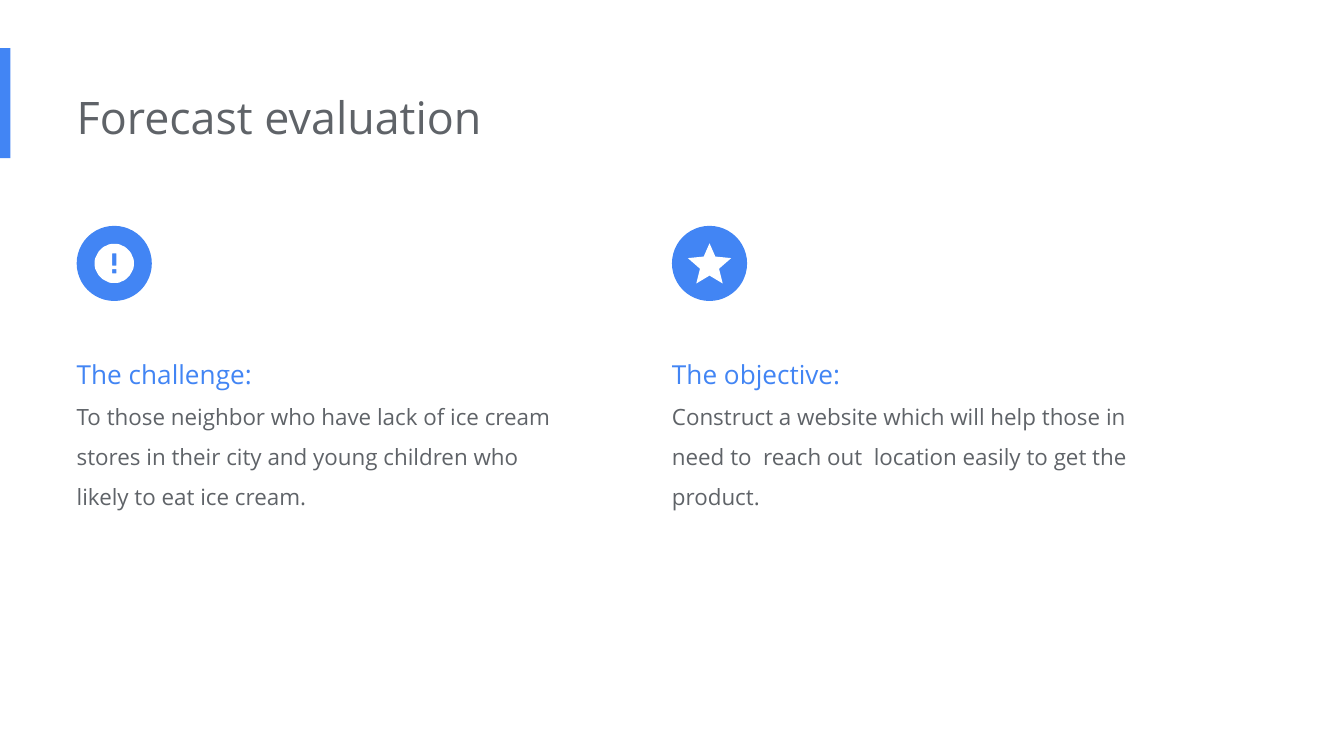
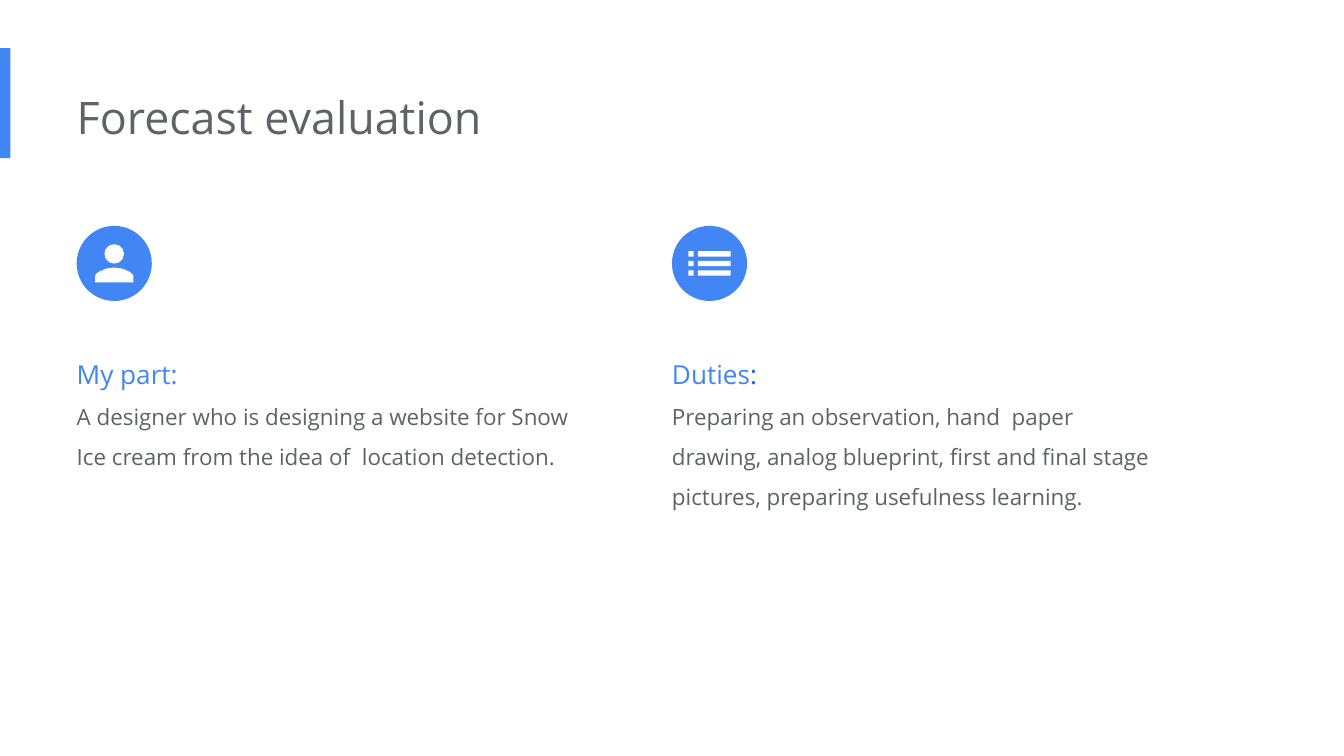
from math import cos, pi, sin

from pptx import Presentation
from pptx.dml.color import RGBColor
from pptx.enum.shapes import MSO_SHAPE as Shape
from pptx.enum.text import MSO_ANCHOR as Anchor, MSO_AUTO_SIZE as AutoSize, PP_ALIGN as Align
from pptx.util import Cm, Pt

COLORS = {"blue": "4285F4", "deep_blue": "1967D2", "gray": "5F6368", "white": "FFFFFF"}
FONT = "Open Sans"
TITLE = "Forecast evaluation"

# Shared grid, in cm
COLUMNS = (1.45, 12.7)
DISC_TOP, DISC_SIZE = 4.27, 1.42
TEXT_TOP, TEXT_WIDTH = 6.22, 9.58


# Icon outlines, in hundredths of a cm around the centre of the disc
def box(left, top, right, bottom):
    return [(left, top), (right, top), (right, bottom), (left, bottom)]


def circle(radius, center_y=0, steps=48):
    angles = [2 * pi * step / steps for step in range(steps)]
    return [(radius * cos(a), center_y + radius * sin(a)) for a in angles]


def curve(p0, p1, p2, p3, steps=12):
    def blend(t, a, b, c, d):
        return (1 - t) ** 3 * a + 3 * t * (1 - t) ** 2 * b + 3 * t * t * (1 - t) * c + t ** 3 * d

    return [tuple(blend(step / steps, *axis) for axis in zip(p0, p1, p2, p3))
            for step in range(steps + 1)]


def mirrored(right_half):
    """Close a right half, listed from bottom to top, with its reflection."""
    return right_half + [(-x, y) for x, y in reversed(right_half)]


def alert_icon():
    return [circle(37), box(-4, -19, 4, 4), box(-4, 11, 4, 19)]


def star_icon():
    return [mirrored([(0, 23), (25, 38), (18, 10), (41, -10), (11, -13), (0, -38)])]


def person_icon():
    shoulder = curve((36, 25), (36, 15), (12, 8), (0, 8))
    return [circle(18, center_y=-18), mirrored([(36, 36)] + shoulder)]


def list_icon():
    return [box(left, y - 5, right, y + 5)
            for y in (-18, 0, 18) for left, right in ((-40, -30), (-22, 40))]


# Each column: heading, colour of its colon, body, box height, icon
SLIDES = [
    [("The challenge", "blue",
      "To those neighbor who have lack of ice cream stores in their city "
      "and young children who likely to eat ice cream.", 3.45, alert_icon),
     ("The objective", "blue",
      "Construct a website which will help those in need to  reach out  "
      "location easily to get the product.", 3.71, star_icon)],
    [("My part", "blue",
      "A designer who is designing a website for Snow Ice cream from the "
      "idea of  location detection.", 3.45, person_icon),
     ("Duties", "deep_blue",
      "Preparing an observation, hand  paper drawing, analog blueprint, "
      "first and final stage pictures, preparing usefulness learning.", 4.24, list_icon)],
]


def paint(shape, color):
    shape.shadow.inherit = False
    shape.fill.solid()
    shape.fill.fore_color.rgb = RGBColor.from_string(COLORS[color])
    shape.line.fill.background()


def style_run(run, size, color):
    run.font.name = FONT
    run.font.size = Pt(size)
    run.font.color.rgb = RGBColor.from_string(COLORS[color])


def set_frame(frame):
    frame.word_wrap = True
    frame.auto_size = AutoSize.SHAPE_TO_FIT_TEXT
    frame.vertical_anchor = Anchor.TOP
    frame.margin_left = 0
    frame.margin_top = frame.margin_right = frame.margin_bottom = Cm(0.25)


def add_accent_to_layout(layout, slide):
    """Draw the accent bar and move it to the layout, where all slides share it."""
    accent = slide.shapes.add_shape(Shape.RECTANGLE, 0, Cm(0.91), Cm(0.2), Cm(2.08))
    paint(accent, "blue")
    layout.shapes.element.append(accent.element)
    accent.element.nvSpPr.cNvPr.set("id", "100")


def set_title(slide):
    title = slide.shapes.title
    title.left, title.top, title.width, title.height = Cm(1.45), Cm(1.45), Cm(17.1), Cm(1.55)
    title.text_frame.text = TITLE
    set_frame(title.text_frame)
    heading = title.text_frame.paragraphs[0]
    heading.alignment = Align.LEFT
    style_run(heading.runs[0], 24, "gray")


def add_icon(slide, left, outlines):
    disc = slide.shapes.add_shape(Shape.OVAL, Cm(left), Cm(DISC_TOP), Cm(DISC_SIZE), Cm(DISC_SIZE))
    paint(disc, "blue")

    first, *others = outlines
    builder = slide.shapes.build_freeform(*first[0], scale=Cm(0.01))
    builder.add_line_segments(first[1:])
    for outline in others:
        builder.move_to(*outline[0])
        builder.add_line_segments(outline[1:])
    symbol = builder.convert_to_shape(Cm(left + DISC_SIZE / 2), Cm(DISC_TOP + DISC_SIZE / 2))
    paint(symbol, "white")


def add_description(slide, left, heading, colon_color, body, height):
    description = slide.shapes.add_textbox(Cm(left), Cm(TEXT_TOP), Cm(TEXT_WIDTH), Cm(height))
    frame = description.text_frame
    set_frame(frame)
    frame.text = f"{heading}\n{body}"
    heading_line, body_line = frame.paragraphs
    heading_line.line_spacing = body_line.line_spacing = 1.5
    colon = heading_line.add_run()
    colon.text = ":"
    style_run(heading_line.runs[0], 14, "blue")
    style_run(colon, 14, colon_color)
    style_run(body_line.runs[0], 12, "gray")


def main():
    deck = Presentation()
    deck.slide_width, deck.slide_height = Cm(25.4), Cm(14.29)
    title_only = deck.slide_layouts[5]

    for number, columns in enumerate(SLIDES):
        slide = deck.slides.add_slide(title_only)
        if number == 0:
            add_accent_to_layout(title_only, slide)
        set_title(slide)
        for left, (heading, colon_color, body, height, icon) in zip(COLUMNS, columns):
            add_icon(slide, left, icon())
            add_description(slide, left, heading, colon_color, body, height)

    deck.save("out.pptx")


if __name__ == "__main__":
    main()
